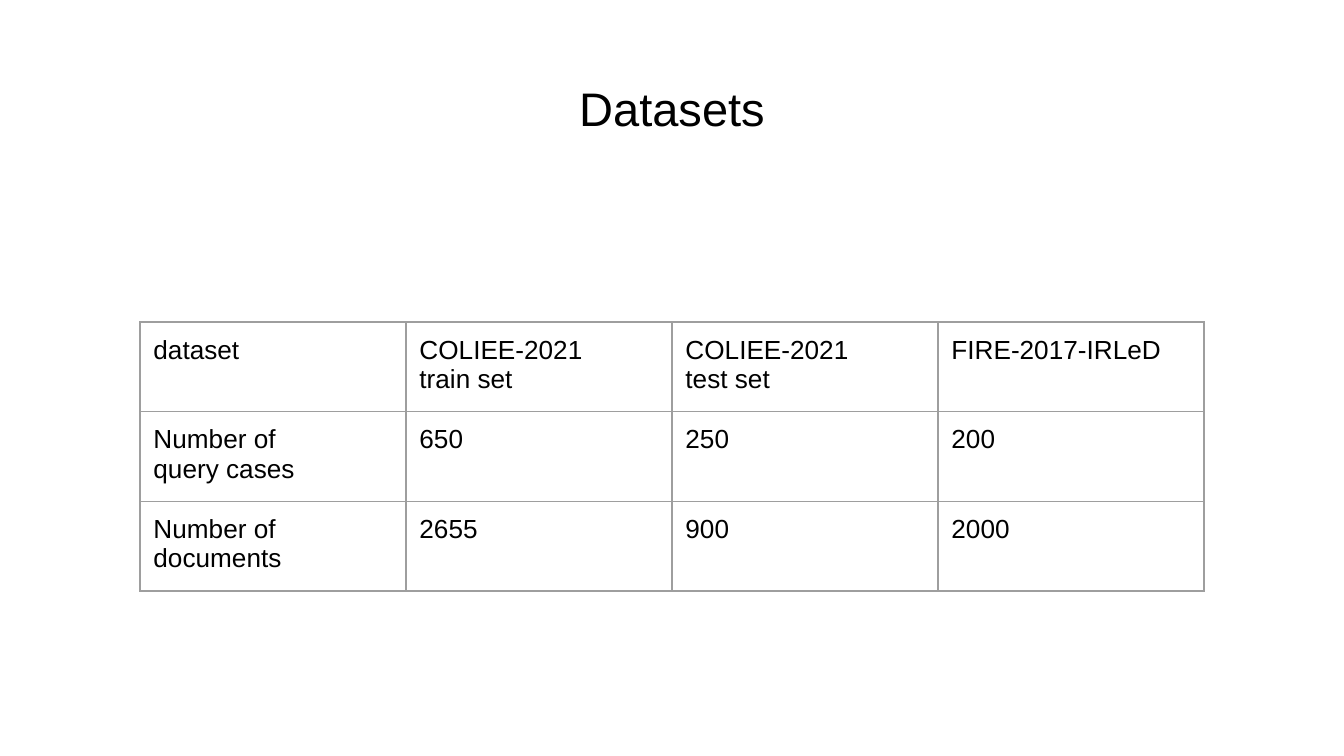
import pptx
import pptx.dml.color
import pptx.enum.text
import pptx.oxml
import pptx.oxml.ns
import pptx.util

Pt = pptx.util.Pt
INSET = Pt(7.2)


def color(hex_value):
    return pptx.dml.color.RGBColor.from_string(hex_value)


class SlideBuilder:
    font = "Arial"
    ink = "000000"
    paper = "FFFFFF"
    border = "9E9E9E"
    border_width = 0.75

    def __init__(self, s):
        self.s = s
        s.background.fill.solid()
        s.background.fill.fore_color.rgb = color(self.paper)

    def add_lines(self, tf, lines, size, align=pptx.enum.text.PP_ALIGN.LEFT):
        """Fill a text frame with one paragraph per line."""
        tf.word_wrap = True
        for i, line in enumerate(lines):
            p = tf.add_paragraph() if i else tf.paragraphs[0]
            p.alignment = align
            r = p.add_run()
            r.text = line
            r.font.name = self.font
            r.font.size = Pt(size)
            r.font.color.rgb = color(self.ink)

    def title(self, text, left, top, width, height, size):
        sp = self.s.shapes.add_textbox(Pt(left), Pt(top), Pt(width), Pt(height))
        tf = sp.text_frame
        tf.margin_left = tf.margin_right = tf.margin_top = tf.margin_bottom = INSET
        self.add_lines(tf, [text], size, pptx.enum.text.PP_ALIGN.CENTER)

    def outline(self, cell):
        """Draw the four borders of a cell; they must precede its fill."""
        tc_pr = cell._tc.get_or_add_tcPr()
        for i, side in enumerate(("lnL", "lnR", "lnT", "lnB")):
            tc_pr.insert(i, pptx.oxml.parse_xml(
                f'<a:{side} {pptx.oxml.ns.nsdecls("a")} w="{Pt(self.border_width)}">'
                f'<a:solidFill><a:srgbClr val="{self.border}"/></a:solidFill>'
                f'</a:{side}>'))

    def table(self, rows, left, top, col_width, row_height, size):
        n_rows, n_cols = len(rows), len(rows[0])
        table = self.s.shapes.add_table(
            n_rows, n_cols, Pt(left), Pt(top),
            Pt(col_width * n_cols), Pt(row_height * n_rows)).table
        table.first_row = table.horz_banding = False
        for col in table.columns:
            col.width = Pt(col_width)
        for row, values in zip(table.rows, rows):
            row.height = Pt(row_height)
            for cell, value in zip(row.cells, values):
                cell.margin_left = cell.margin_right = INSET
                cell.margin_top = cell.margin_bottom = INSET
                cell.fill.background()
                self.outline(cell)
                self.add_lines(cell.text_frame, value.split("\n"), size)


def main():
    prs = pptx.Presentation()
    prs.slide_width, prs.slide_height = Pt(720), Pt(405)
    slide = SlideBuilder(prs.slides.add_slide(prs.slide_layouts[6]))

    slide.title("Datasets", 24.5, 35.3, 671, 45.1, 25.2)
    slide.table([
        ["dataset", "COLIEE-2021\ntrain set", "COLIEE-2021\ntest set", "FIRE-2017-IRLeD"],
        ["Number of\nquery cases", "650", "250", "200"],
        ["Number of\ndocuments", "2655", "900", "2000"],
    ], left=75, top=172.5, col_width=142.5, row_height=45.8, size=14)

    prs.save("out.pptx")


if __name__ == "__main__":
    main()
